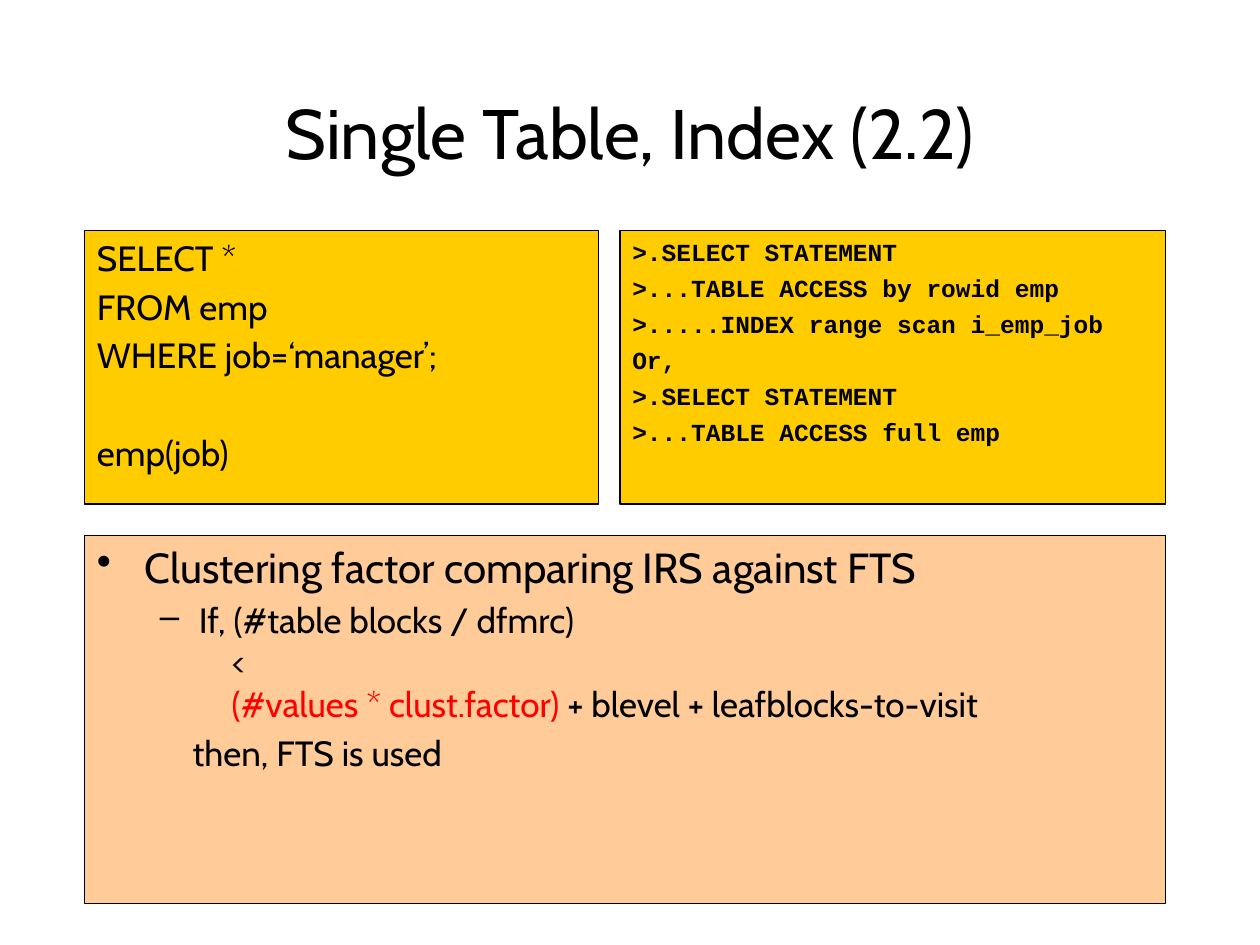
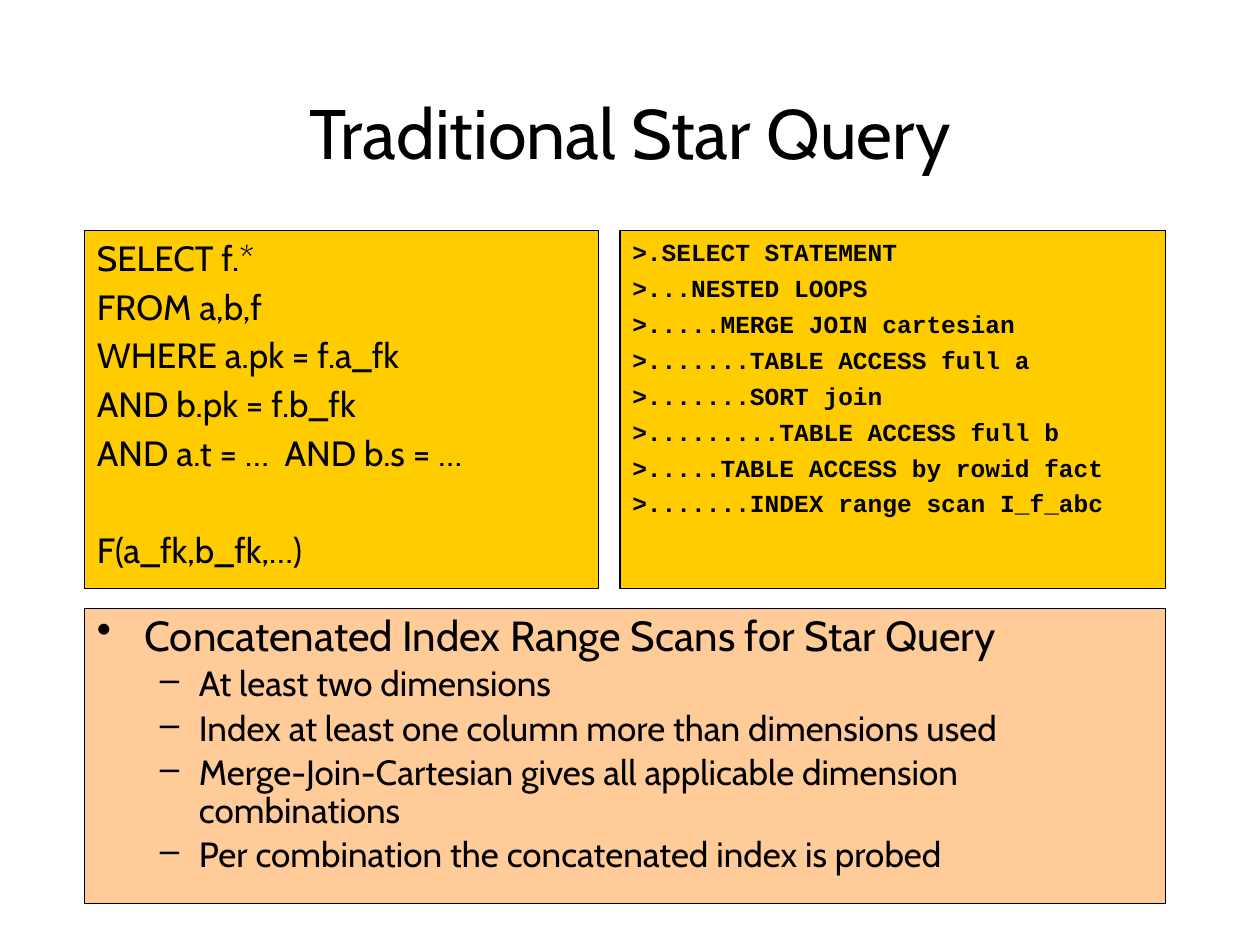
from lxml import etree
from pptx import Presentation
from pptx import util as u
from pptx.dml.color import RGBColor
from pptx.enum import shapes, text
from pptx.oxml.ns import qn

COLORS = {"ink": "000000", "accent": "FF0000", "code": "FFCC00", "notes": "FFCC99"}
BODY_FONT, PLAN_FONT = "Cabin", "Courier New"
LEFT, RIGHT, TOP, BOTTOM = 0.67, 9.25, 1.83, 7.17
PLAN_LEFT, QUERY_WIDTH = 4.92, 4.08
LINE_GAP = 3.75    # points between paragraphs
BLOCK_GAP = 31.75  # points before a separate block of a query


def write(frame, content, size=20, font=BODY_FONT, bold=False, align=text.PP_ALIGN.LEFT,
          before=LINE_GAP, line=1.0, level=0, margin=0, hang=0, bullet=None):
    """Append a paragraph; content is a string or a list of (string, colour name)."""
    first = not frame.text
    para = frame.paragraphs[0] if first else frame.add_paragraph()
    props = para._p.get_or_add_pPr()
    props.set("marL", str(u.Inches(margin)))
    props.set("indent", str(-u.Inches(hang)))
    if bullet:
        etree.SubElement(props, qn("a:buChar")).set("char", bullet)
    else:
        etree.SubElement(props, qn("a:buNone"))
    para.level = level
    para.alignment = align
    para.line_spacing = line
    para.space_before = u.Pt(0 if first else before)
    for words, color in [(content, "ink")] if isinstance(content, str) else content:
        run = para.add_run()
        run.text = words
        run.font.size, run.font.name, run.font.bold = u.Pt(size), font, bold
        run.font.color.rgb = RGBColor.from_string(COLORS[color])


def add_panel(slide, left, top, right, bottom, fill):
    panel = slide.shapes.add_shape(
        shapes.MSO_SHAPE.RECTANGLE, u.Inches(left), u.Inches(top),
        u.Inches(right - left), u.Inches(bottom - top))
    panel.shadow.inherit = False
    panel.fill.solid()
    panel.fill.fore_color.rgb = RGBColor.from_string(COLORS[fill])
    panel.line.color.rgb = RGBColor.from_string(COLORS["ink"])
    panel.line.width = u.Pt(0.75)
    panel.text_frame.word_wrap = True
    panel.text_frame.vertical_anchor = text.MSO_ANCHOR.TOP
    return panel.text_frame


# Paragraph styles of the notes panel
POINT = dict(size=24, margin=0.38, hang=0.38, bullet="•")
SUBPOINT = dict(level=1, margin=0.81, hang=0.31, bullet="–")
FORMULA = dict(level=1, margin=1.07, before=0)
RESULT = dict(level=1, margin=0.76)

# Content: each query is a list of blocks, each note a text with its style
topics = [
    dict(
        title="Single Table, Index (2.2)", code_bottom=4.0, notes_top=4.25, line=1.0,
        query=[["SELECT *", "FROM emp", "WHERE job=‘manager’;"], ["emp(job)"]],
        plan=[">.SELECT STATEMENT", ">...TABLE ACCESS by rowid emp",
              ">.....INDEX range scan i_emp_job", "Or,",
              ">.SELECT STATEMENT", ">...TABLE ACCESS full emp"],
        notes=[("Clustering factor comparing IRS against FTS", POINT),
               ("If, (#table blocks / dfmrc)", SUBPOINT),
               ("<", FORMULA),
               ([("(#values * clust.factor) ", "accent"),
                 ("+ blevel + leafblocks-to-visit", "ink")], FORMULA),
               ("then, FTS is used", RESULT)]),
    dict(
        title="Traditional Star Query", code_bottom=4.67, notes_top=4.83, line=0.9,
        query=[["SELECT f.*", "FROM a,b,f", "WHERE a.pk = f.a_fk", "AND b.pk = f.b_fk",
                "AND a.t = …  AND b.s = …"], ["F(a_fk,b_fk,…)"]],
        plan=[">.SELECT STATEMENT", ">...NESTED LOOPS", ">.....MERGE JOIN cartesian",
              ">.......TABLE ACCESS full a", ">.......SORT join",
              ">.........TABLE ACCESS full b", ">.....TABLE ACCESS by rowid fact",
              ">.......INDEX range scan I_f_abc"],
        notes=[("Concatenated Index Range Scans for Star Query", POINT),
               ("At least two dimensions", SUBPOINT),
               ("Index at least one column more than dimensions used", SUBPOINT),
               ("Merge-Join-Cartesian gives all applicable dimension combinations", SUBPOINT),
               ("Per combination the concatenated index is probed", SUBPOINT)]),
]

deck = Presentation()
deck.slide_width, deck.slide_height = u.Inches(10), u.Inches(7.5)

for topic in topics:
    slide = deck.slides.add_slide(deck.slide_layouts[5])

    # Title
    title = slide.shapes.title
    title.left, title.top = u.Inches(0.75), u.Inches(0.67)
    title.width, title.height = u.Inches(8.5), u.Inches(0.75)
    title.text_frame.auto_size = text.MSO_AUTO_SIZE.NONE
    title.text_frame.vertical_anchor = text.MSO_ANCHOR.MIDDLE
    write(title.text_frame, topic["title"], size=40, align=text.PP_ALIGN.CENTER)

    # Notes
    notes = add_panel(slide, LEFT, topic["notes_top"], RIGHT, BOTTOM, "notes")
    for words, style in topic["notes"]:
        write(notes, words, line=topic["line"], **style)

    # Execution plan
    plan = add_panel(slide, PLAN_LEFT, TOP, RIGHT, topic["code_bottom"], "code")
    for step in topic["plan"]:
        write(plan, step, size=14, font=PLAN_FONT, bold=True)

    # Query and its index
    query = add_panel(slide, LEFT, TOP, LEFT + QUERY_WIDTH, topic["code_bottom"], "code")
    for block in topic["query"]:
        for number, clause in enumerate(block):
            write(query, clause, before=LINE_GAP if number else BLOCK_GAP)

deck.save("out.pptx")
